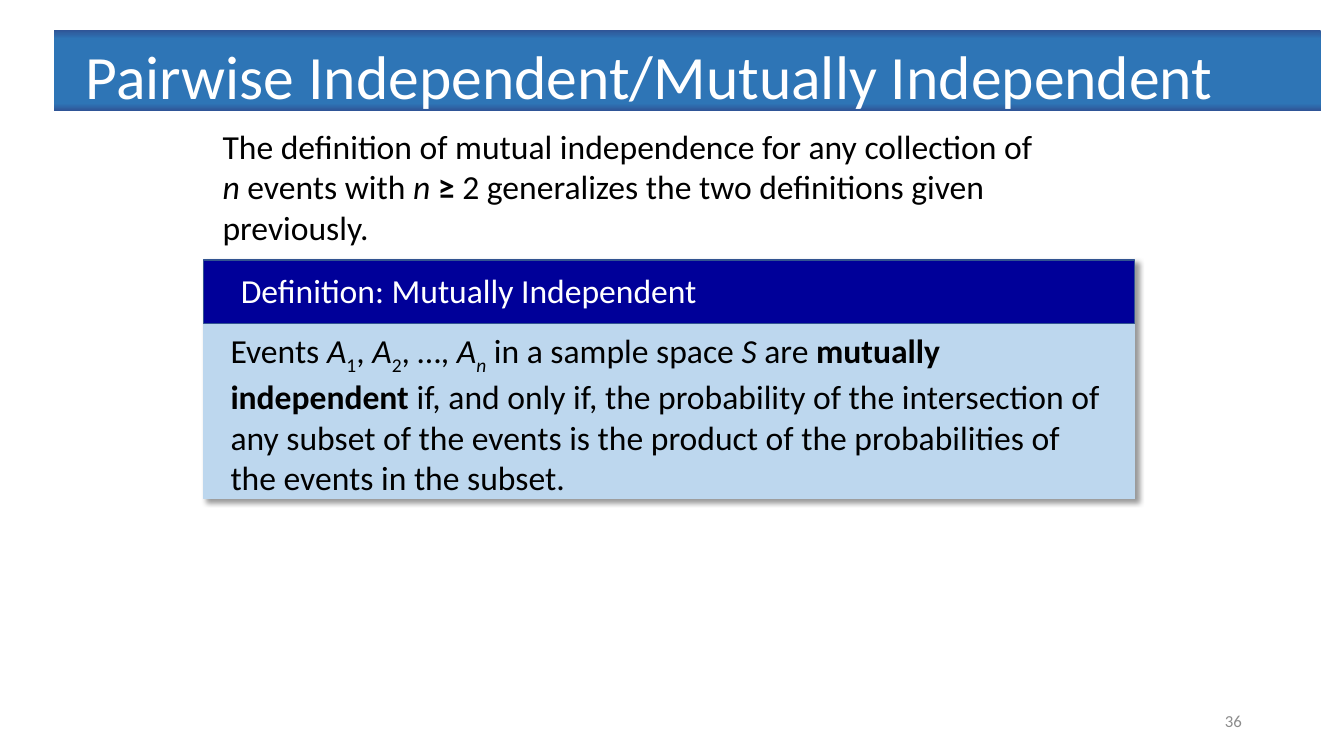
import pptx
import pptx.dml.color
import pptx.enum.shapes
import pptx.enum.text
import pptx.oxml
import pptx.oxml.ns
import pptx.util
from pptx.util import Cm

ANCHOR = pptx.enum.text.MSO_ANCHOR
ALIGN = pptx.enum.text.PP_ALIGN
FONT = "Calibri"

INTRO = [
    ("The definition of mutual independence for any collection of ", ""),
    ("n", "i"),
    (" events with ", ""),
    ("n ", "i"),
    ("≥ ", "b"),
    ("2 generalizes the two definitions given previously.", ""),
]
DEFINITION = [
    ("Events ", ""),
    ("A", "i"),
    ("1", "s"),
    (", ", ""),
    ("A", "i"),
    ("2", "s"),
    (", …, ", ""),
    ("A", "i"),
    ("n", "is"),
    (" in a sample space ", ""),
    ("S", "i"),
    (" are ", ""),
    ("mutually independent ", "b"),
    ("if, and only if, the probability of the intersection of any subset "
     "of the events is the product of the probabilities of the events in "
     "the subset.", ""),
]


def rgb(value):
    return pptx.dml.color.RGBColor.from_string(value)


def place(sp, left, top, width, height):
    sp.left, sp.top = Cm(left), Cm(top)
    sp.width, sp.height = Cm(width), Cm(height)


def format_run(r, size, color, style=""):
    r.font.name = FONT
    r.font.size = pptx.util.Pt(size)
    r.font.color.rgb = rgb(color)
    if "i" in style:
        r.font.italic = True
    if "b" in style:
        r.font.bold = True
    if "s" in style:
        r.font._element.set("baseline", "-25000")


def add_text(shapes, box, runs, size=24, color="000000"):
    sp = shapes.add_textbox(*(Cm(v) for v in box))
    tf = sp.text_frame
    tf.word_wrap = True
    p = tf.paragraphs[0]
    for text, style in runs:
        r = p.add_run()
        r.text = text
        format_run(r, size, color, style)
    return tf


def add_panel(shapes, box, fill, line):
    sp = shapes.add_shape(
        pptx.enum.shapes.MSO_SHAPE.RECTANGLE, *(Cm(v) for v in box))
    sp.shadow.inherit = False
    sp.fill.solid()
    sp.fill.fore_color.rgb = rgb(fill)
    sp.line.color.rgb = rgb(line)
    sp.line.width = pptx.util.Pt(1)
    return sp


def add_shadow(sp):
    effects = sp._element.spPr.find(pptx.oxml.ns.qn("a:effectLst"))
    effects.append(pptx.oxml.parse_xml(
        f'<a:outerShdw {pptx.oxml.ns.nsdecls("a")} blurRad="50800" '
        'dist="38100" dir="2700000" algn="tl" rotWithShape="0">'
        '<a:srgbClr val="000000"><a:alpha val="40000"/></a:srgbClr>'
        '</a:outerShdw>'))


def fill_gradient(sp, stops):
    gs = "".join(
        f'<a:gs pos="{pos * 1000}"><a:srgbClr val="{color}"/></a:gs>'
        for pos, color in stops)
    sp._element.spPr.append(pptx.oxml.parse_xml(
        f'<a:gradFill {pptx.oxml.ns.nsdecls("a")} rotWithShape="1">'
        f'<a:gsLst>{gs}</a:gsLst><a:lin ang="5400000" scaled="0"/>'
        '</a:gradFill>'))


def set_title(sp, text):
    place(sp, 1.35, 0.76, 31.93, 2.03)
    fill_gradient(sp, [(0, "2F5597"), (11, "2E75B6"),
                       (91, "2E75B6"), (100, "2F5597")])
    tf = sp.text_frame
    tf.text = text
    tf.auto_size = pptx.enum.text.MSO_AUTO_SIZE.NONE
    tf.vertical_anchor = ANCHOR.TOP
    tf.margin_left, tf.margin_top = Cm(0.81), Cm(0.2)
    p = tf.paragraphs[0]
    p.alignment = ALIGN.LEFT
    format_run(p.runs[0], 44, "FFFFFF")


def add_definition(slide, heading, runs):
    shapes = slide.shapes.add_group_shape().shapes
    left, top, width = 5.13, 6.55, 23.47
    add_shadow(add_panel(shapes, (left, top, width, 6.02), "BDD7EE", "BDD7EE"))
    add_panel(shapes, (left, top, width, 1.6), "000099", "325491")
    add_text(shapes, (5.82, 6.68, 22.07, 1.27), [(heading, "")],
             color="FFFFFF")
    tf = add_text(shapes, (5.56, 8.2, 22.73, 4.37), runs)
    tf.paragraphs[0].space_after = pptx.util.Pt(6)


def add_page_number(slide, number):
    tf = add_text(slide.shapes, (23.93, 17.65, 7.62, 1.02),
                  [(number, "")], 12, "8C8C8C")
    tf.vertical_anchor = ANCHOR.MIDDLE
    tf.paragraphs[0].alignment = ALIGN.RIGHT


def main():
    prs = pptx.Presentation()
    prs.slide_width, prs.slide_height = Cm(33.87), Cm(19.05)
    slide = prs.slides.add_slide(prs.slide_layouts[5])
    set_title(slide.shapes.title, "Pairwise Independent/Mutually Independent")
    add_text(slide.shapes, (5.36, 3.05, 21.26, 3.48), INTRO)
    add_definition(slide, "Definition: Mutually Independent", DEFINITION)
    add_page_number(slide, "36")
    prs.save("out.pptx")


if __name__ == "__main__":
    main()
